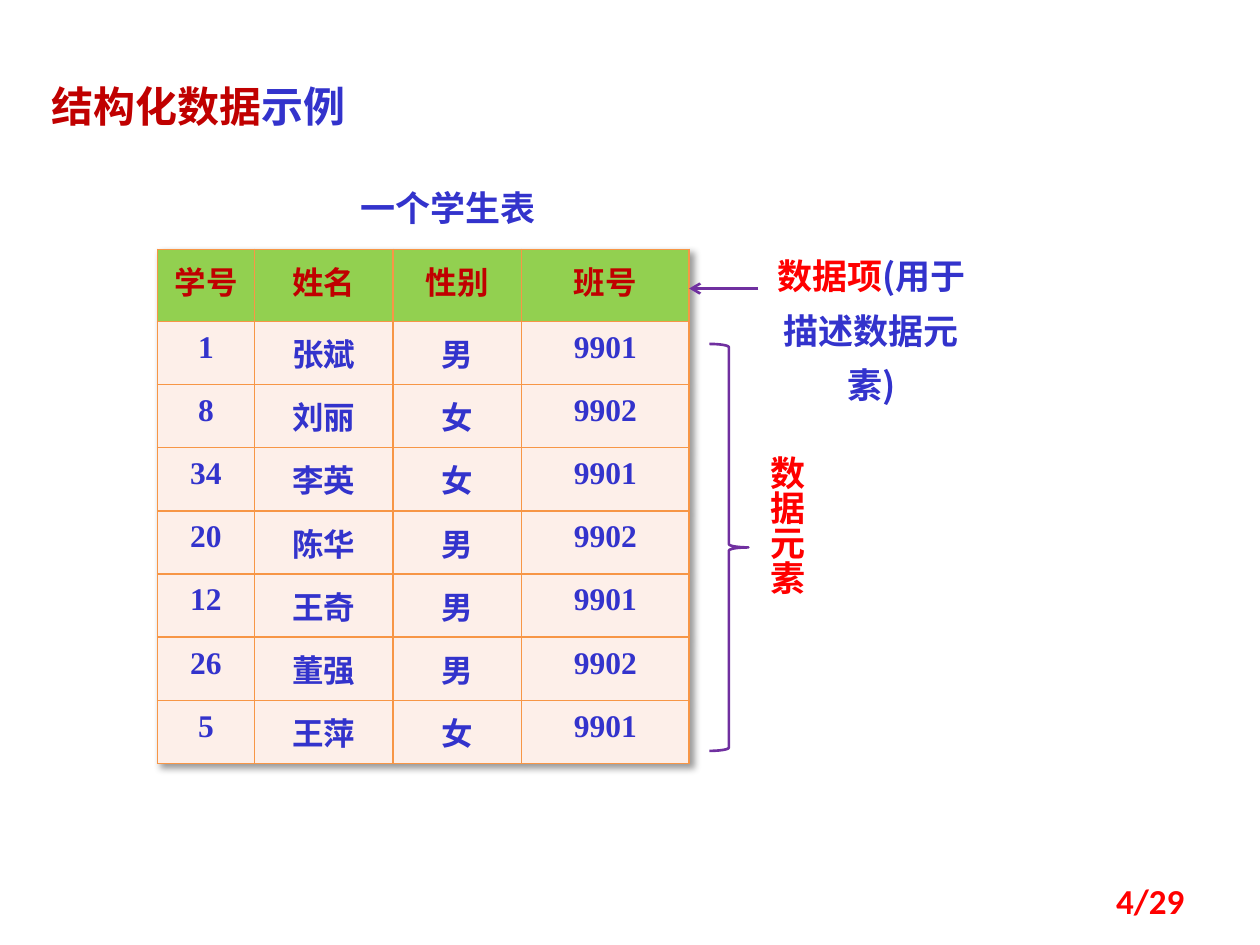
from lxml import etree
from pptx import Presentation
from pptx import util as u
from pptx.dml.color import RGBColor
from pptx.enum import shapes, text
from pptx.oxml import parse_xml
from pptx.oxml.ns import nsdecls, qn

COLUMNS, ROWS = 100, 75
RED, DARK_RED, BLUE = "FF0000", "C00000", "3333CC"
PURPLE, ORANGE, GREEN, CREAM = "7030A0", "F79646", "92D050", "FDEFE9"
SERIF, SANS = "Times New Roman", "Noto Sans CJK SC"
CENTER, RIGHT = text.PP_ALIGN.CENTER, text.PP_ALIGN.RIGHT


def color(value):
    return RGBColor.from_string(value)


class Page:
    def __init__(self, deck):
        self.slide = deck.slides.add_slide(deck.slide_layouts[6])
        self.column = deck.slide_width / COLUMNS
        self.row = deck.slide_height / ROWS

    def place(self, left, top, width, height):
        return (u.Emu(round(left * self.column)), u.Emu(round(top * self.row)),
                u.Emu(round(width * self.column)), u.Emu(round(height * self.row)))

    def style(self, run, size, tone, font):
        run.font.size = u.Pt(size)
        run.font.bold = True
        run.font.name = font
        run.font.color.rgb = color(tone)
        east_asian = etree.SubElement(run.font._element, qn("a:ea"))
        east_asian.set("typeface", SANS)

    def label(self, box, parts, size=20, font=SERIF, align=CENTER, spacing=1.3,
              vertical=False, grow=True):
        frame = self.slide.shapes.add_textbox(*self.place(*box)).text_frame
        frame.word_wrap = True
        if grow:
            frame.auto_size = text.MSO_AUTO_SIZE.SHAPE_TO_FIT_TEXT
        else:
            frame.vertical_anchor = text.MSO_ANCHOR.MIDDLE
        if vertical:
            frame._txBody.bodyPr.set("vert", "eaVert")
        paragraph = frame.paragraphs[0]
        paragraph.alignment = align
        paragraph.line_spacing = spacing
        for words, tone in parts:
            run = paragraph.add_run()
            run.text = words
            self.style(run, size, tone, font)

    def border(self, cell):
        properties = cell._tc.get_or_add_tcPr()
        for index, side in enumerate(("lnL", "lnR", "lnT", "lnB")):
            properties.insert(index, parse_xml(
                f'<a:{side} {nsdecls("a")} w="12700"><a:solidFill>'
                f'<a:srgbClr val="{ORANGE}"/></a:solidFill></a:{side}>'))

    def table(self, box, records, widths, heights):
        grid = self.slide.shapes.add_table(
            len(records), len(widths), *self.place(*box)).table
        grid.first_row = grid.horz_banding = False
        grid._tbl.tblPr.insert(0, parse_xml(
            f'<a:effectLst {nsdecls("a")}><a:outerShdw blurRad="50800" dist="38100" '
            'dir="2700000" algn="tl" rotWithShape="0"><a:srgbClr val="000000">'
            '<a:alpha val="40000"/></a:srgbClr></a:outerShdw></a:effectLst>'))
        for column, width in zip(grid.columns, widths):
            column.width = u.Emu(round(width * self.column))
        for row, height in zip(grid.rows, heights):
            row.height = u.Emu(round(height * self.row))
        for r, record in enumerate(records):
            fill, tone = (CREAM, BLUE) if r else (GREEN, DARK_RED)
            for c, value in enumerate(record):
                cell = grid.cell(r, c)
                cell.text_frame.text = value
                cell.margin_top = cell.margin_bottom = u.Inches(0.07)
                cell.fill.solid()
                cell.fill.fore_color.rgb = color(fill)
                self.border(cell)
                paragraph = cell.text_frame.paragraphs[0]
                paragraph.alignment = CENTER
                self.style(paragraph.runs[0], 18, tone, SERIF)

    def outline(self, line):
        line.color.rgb = color(PURPLE)
        line.width = u.Pt(1.5)

    def arrow(self, start, end, level):
        x1, y, x2, _ = self.place(start, level, end, level)
        link = self.slide.shapes.add_connector(
            shapes.MSO_CONNECTOR.STRAIGHT, x1, y, x2, y)
        self.outline(link.line)
        etree.SubElement(link.line._get_or_add_ln(), qn("a:tailEnd")).set("type", "arrow")
        etree.SubElement(link._element.spPr, qn("a:effectLst"))

    def brace(self, box):
        shape = self.slide.shapes.add_shape(
            shapes.MSO_SHAPE.RIGHT_BRACE, *self.place(*box))
        shape.shadow.inherit = False
        shape.fill.background()
        self.outline(shape.line)


def main():
    deck = Presentation()
    deck.slide_width, deck.slide_height = u.Inches(10), u.Inches(7.5)
    page = Page(deck)
    students = [
        ("学号", "姓名", "性别", "班号"),
        ("1", "张斌", "男", "9901"),
        ("8", "刘丽", "女", "9902"),
        ("34", "李英", "女", "9901"),
        ("20", "陈华", "男", "9902"),
        ("12", "王奇", "男", "9901"),
        ("26", "董强", "男", "9902"),
        ("5", "王萍", "女", "9901"),
    ]
    page.table((12.5, 19.8, 42.2, 40.4), students,
               (7.7, 11, 10.2, 13.3), [5.7] + [4.96] * 7)
    page.label((3.1, 4.7, 34.4, 5.7), [("结构化数据", DARK_RED), ("示例", BLUE)],
               size=24, align=text.PP_ALIGN.LEFT)
    page.label((24.2, 13.3, 22.7, 4.9), [("一个学生表", BLUE)])
    page.arrow(60.2, 54.7, 22.9)
    page.label((59.4, 18.7, 19.5, 9.8),
               [("数据项", RED), ("(用于描述数据元素)", BLUE)], font=SANS)
    page.brace((56.3, 27.3, 3.1, 32.3))
    page.label((59.2, 35.2, 6.4, 15.6), [("数据元素", RED)], vertical=True)
    page.label((71.7, 69.5, 23.3, 4), [("4/29", RED)], font="Calibri",
               align=RIGHT, spacing=1, grow=False)
    deck.save("out.pptx")


if __name__ == "__main__":
    main()
